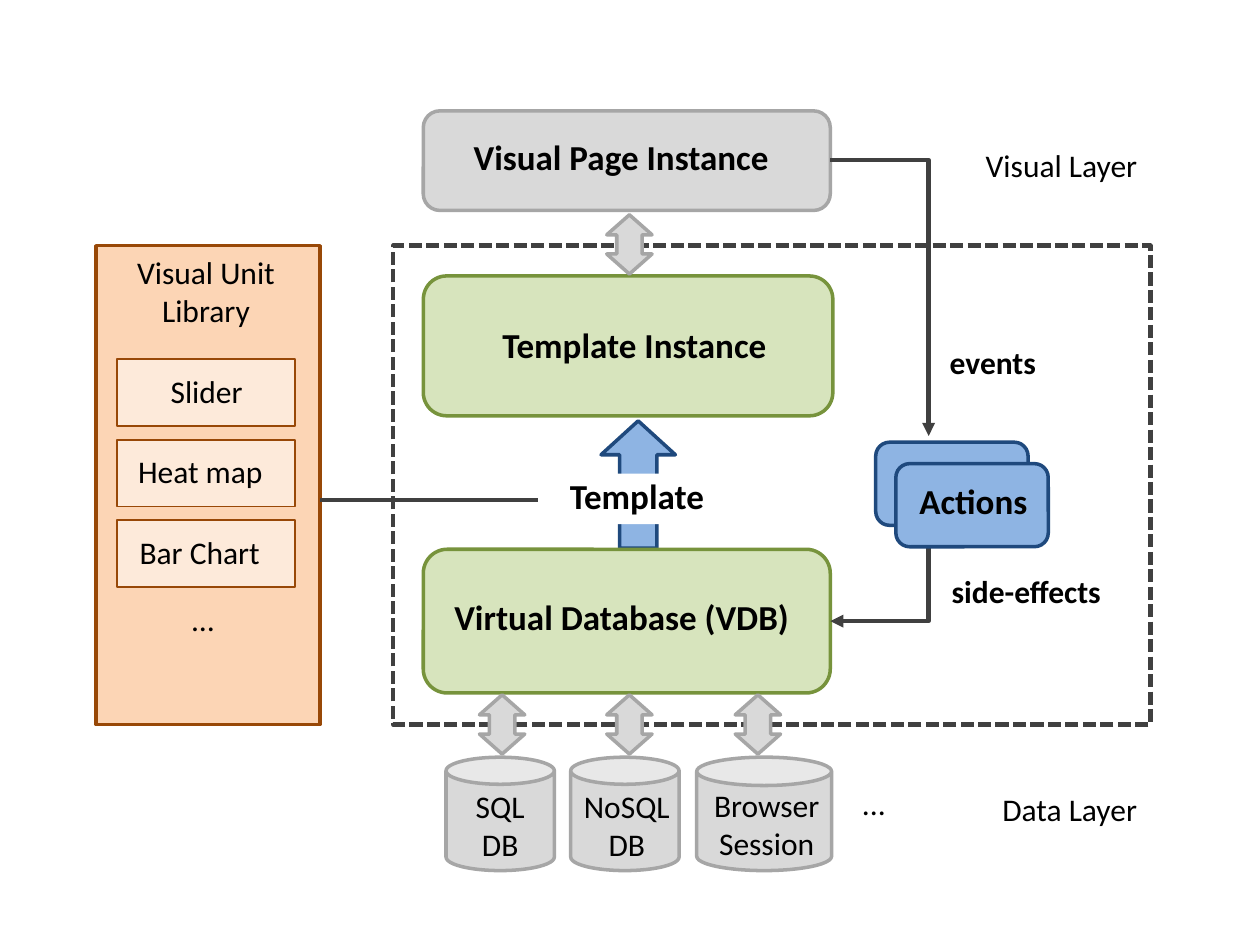
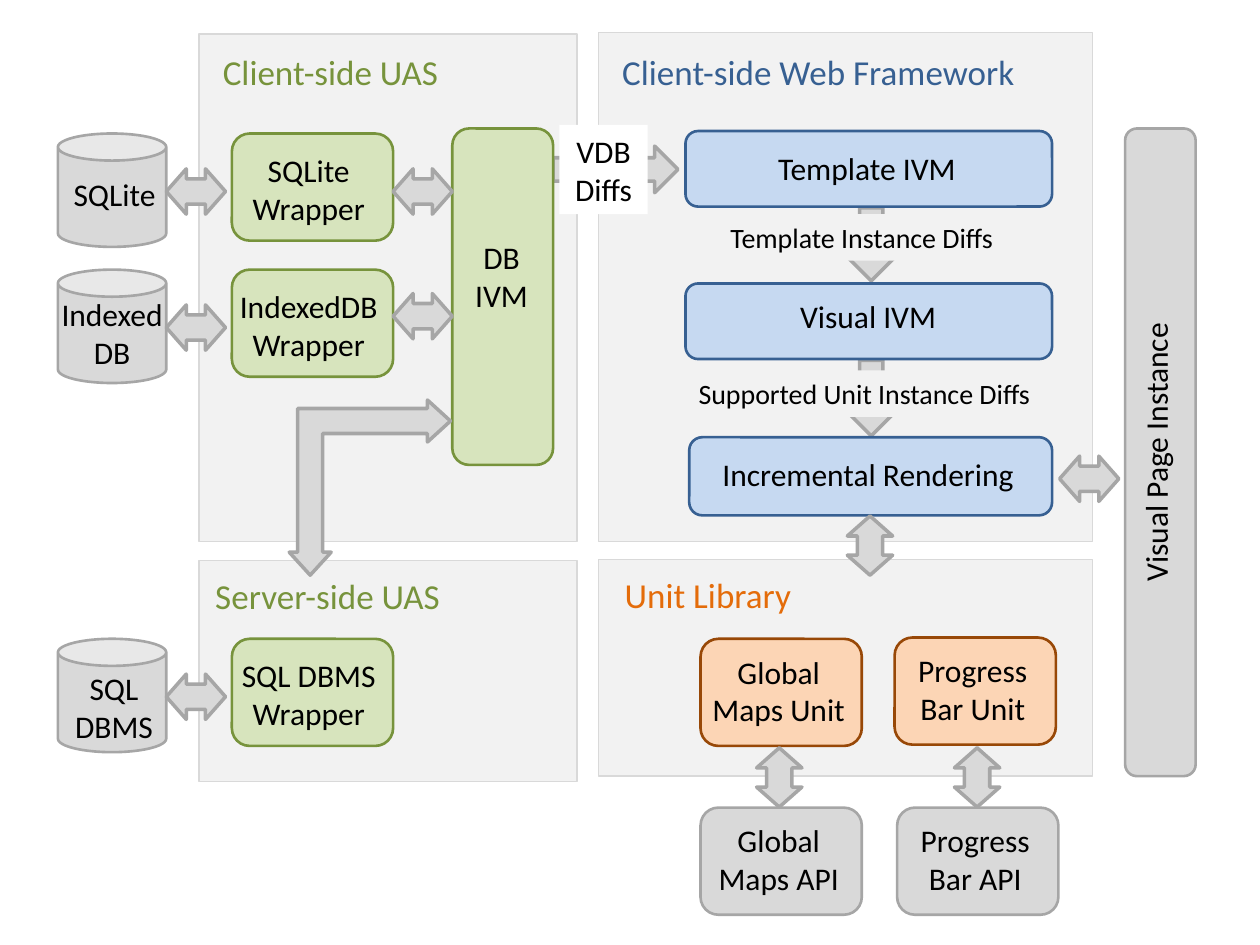
from lxml import etree
from pptx import Presentation
from pptx.dml.color import RGBColor
from pptx.enum.dml import MSO_LINE
from pptx.enum.shapes import MSO_CONNECTOR, MSO_SHAPE
from pptx.enum.text import MSO_ANCHOR, MSO_AUTO_SIZE, PP_ALIGN
from pptx.oxml.ns import qn
from pptx.util import Inches, Pt

RECTANGLE = MSO_SHAPE.RECTANGLE
ROUNDED = MSO_SHAPE.ROUNDED_RECTANGLE
CAN = MSO_SHAPE.CAN
UP_ARROW = MSO_SHAPE.UP_ARROW
DOWN_ARROW = MSO_SHAPE.DOWN_ARROW
RIGHT_ARROW = MSO_SHAPE.RIGHT_ARROW
CORNER_ARROW = MSO_SHAPE.LEFT_UP_ARROW
DOUBLE_ARROW = MSO_SHAPE.LEFT_RIGHT_ARROW
STRAIGHT = MSO_CONNECTOR.STRAIGHT
ELBOW = MSO_CONNECTOR.ELBOW
DASHED = MSO_LINE.SQUARE_DOT
LEFT = PP_ALIGN.LEFT
CENTER = PP_ALIGN.CENTER
MIDDLE = MSO_ANCHOR.MIDDLE
TOP = MSO_ANCHOR.TOP
FIT_SHAPE = MSO_AUTO_SIZE.SHAPE_TO_FIT_TEXT

BLACK = RGBColor(0x00, 0x00, 0x00)
WHITE = RGBColor(0xFF, 0xFF, 0xFF)
CHARCOAL = RGBColor(0x40, 0x40, 0x40)
GRAY = RGBColor(0xA6, 0xA6, 0xA6)
SILVER = RGBColor(0xD9, 0xD9, 0xD9)
MIST = RGBColor(0xF2, 0xF2, 0xF2)
OLIVE = RGBColor(0x77, 0x93, 0x3C)
LIME = RGBColor(0xD7, 0xE4, 0xBD)
BROWN = RGBColor(0x98, 0x48, 0x07)
PEACH = RGBColor(0xFC, 0xD5, 0xB5)
CREAM = RGBColor(0xFD, 0xEA, 0xDA)
ORANGE = RGBColor(0xE4, 0x6C, 0x0A)
NAVY = RGBColor(0x1F, 0x49, 0x7D)
SKY = RGBColor(0x8E, 0xB4, 0xE3)
BLUE = RGBColor(0x37, 0x60, 0x92)
ICE = RGBColor(0xC6, 0xD9, 0xF1)

NEUTRAL = (SILVER, GRAY)
DATA = (LIME, OLIVE)
LIBRARY = (PEACH, BROWN)
UNIT = (CREAM, BROWN)
ACTION = (SKY, NAVY)
FRAMEWORK = (ICE, BLUE)
PANEL = (MIST, SILVER)


def write(frame, text, size=18, bold=False, color=BLACK, align=CENTER, wrap=False, anchor=TOP):
    frame.word_wrap = wrap
    frame.vertical_anchor = anchor
    para = frame.paragraphs[0]
    para.alignment = align
    for number, line in enumerate(text.split("\n")):
        if number:
            para.add_line_break()
        span = para.add_run()
        span.text = line
        span.font.name = "Calibri"
        span.font.size = Pt(size)
        span.font.bold = bold
        span.font.color.rgb = color


class Diagram:
    def __init__(self, deck, outline):
        self.page = deck.slides.add_slide(deck.slide_layouts[6])
        self.outline = outline

    def shape(self, kind, place, colors, width=None, adjust=(), angle=0, dash=None):
        fill, line = colors
        box = self.page.shapes.add_shape(kind, *map(Inches, place))
        box.shadow.inherit = False
        box.rotation = angle
        for index, value in enumerate(adjust):
            box.adjustments[index] = value
        if fill is None:
            box.fill.background()
        else:
            box.fill.solid()
            box.fill.fore_color.rgb = fill
        if line is None:
            box.line.fill.background()
        else:
            box.line.color.rgb = line
            box.line.width = Pt(width or self.outline)
        if dash:
            box.line.dash_style = dash
        return box

    def label(self, place, text, angle=0, **style):
        box = self.page.shapes.add_textbox(*map(Inches, place))
        box.rotation = angle
        write(box.text_frame, text, **style)
        box.text_frame.auto_size = FIT_SHAPE

    def mask(self, place, text, color, **style):
        box = self.shape(RECTANGLE, place, (color, None))
        write(box.text_frame, text, wrap=True, anchor=MIDDLE, **style)

    def double_arrow(self, left, top, angle=0):
        self.shape(DOUBLE_ARROW, (left, top, 0.47, 0.36), NEUTRAL, 2, (0.56, 0.442), angle)

    def connector(self, kind, start, end, arrow=None):
        line = self.page.shapes.add_connector(kind, *map(Inches, start + end))
        line.line.color.rgb = CHARCOAL
        line.line.width = Pt(2.5)
        properties = line.element.spPr
        if kind == ELBOW:
            properties.find(qn("a:prstGeom")).set("prst", "bentConnector2")
        if arrow:
            etree.SubElement(properties.find(qn("a:ln")), qn(arrow), type="triangle")
        etree.SubElement(properties, qn("a:effectLst"))


def draw_layers(deck):
    diagram = Diagram(deck, 2)
    diagram.shape(UP_ARROW, (4.77, 3.34, 0.59, 1.01), ACTION, adjust=(0.5, 0.456))
    diagram.shape(RECTANGLE, (0.76, 1.95, 1.78, 3.8), LIBRARY)
    diagram.shape(ROUNDED, (3.36, 4.36, 3.23, 1.14), DATA)
    diagram.shape(ROUNDED, (3.36, 2.19, 3.25, 1.11), DATA)
    diagram.shape(ROUNDED, (3.36, 0.88, 3.23, 0.79), NEUTRAL)
    diagram.shape(RECTANGLE, (3.12, 1.95, 6.01, 3.8), (None, CHARCOAL), 2.5, dash=DASHED)
    diagram.shape(ROUNDED, (6.95, 3.51, 1.21, 0.66), ACTION)
    diagram.connector(ELBOW, (6.59, 1.27), (7.37, 3.46), "a:tailEnd")
    diagram.connector(ELBOW, (6.59, 4.93), (7.37, 4.31), "a:headEnd")

    stores = [
        (3.54, 0.86, (3.67, 6.2, 0.6, 0.71), "SQL\nDB"),
        (4.53, 0.86, (4.53, 6.2, 0.89, 0.71), "NoSQL\nDB"),
        (5.53, 1.07, (5.56, 6.19, 1.05, 0.71), "Browser\nSession"),
    ]
    for left, width, place, name in stores:
        diagram.shape(CAN, (left, 6.01, width, 0.9), NEUTRAL)
        diagram.label(place, name)

    units = [(1.25, 0.78, "Slider"), (0.99, 1.2, "Heat map"), (1, 1.17, "Bar Chart")]
    for row, (left, width, name) in enumerate(units):
        top = 2.85 + 0.64 * row
        diagram.shape(RECTANGLE, (0.93, top, 1.41, 0.53), UNIT, 1)
        diagram.label((left, top + 0.05, width, 0.4), name)

    for left, top in [(3.75, 5.57), (4.76, 5.57), (5.78, 5.57), (4.76, 1.76)]:
        diagram.double_arrow(left, top, 90)
    diagram.shape(ROUNDED, (3.36, 3.76, 3.28, 0.4), (WHITE, None))
    diagram.connector(STRAIGHT, (2.54, 3.97), (4.27, 3.97))
    diagram.shape(ROUNDED, (7.11, 3.68, 1.21, 0.66), ACTION)

    headings = [
        ((3.64, 1.03, 2.58, 0.44), "Visual Page Instance"),
        ((3.86, 2.52, 2.35, 0.44), "Template Instance"),
        ((4.4, 3.72, 1.31, 0.44), "Template"),
        ((3.5, 4.68, 2.87, 0.44), "Virtual Database (VDB)"),
        ((7.18, 3.76, 1.09, 0.44), "Actions"),
    ]
    for place, text in headings:
        diagram.label(place, text, size=20, bold=True)
    diagram.label((7.43, 2.67, 0.9, 0.4), "events", bold=True)
    diagram.label((7.44, 4.49, 1.41, 0.4), "side-effects", bold=True)

    captions = [
        ((0.98, 1.96, 1.31, 0.71), "Visual Unit\nLibrary"),
        ((1.42, 4.71, 0.38, 0.4), "…"),
        ((6.74, 6.17, 0.39, 0.4), "..."),
        ((7.71, 1.11, 1.43, 0.4), "Visual Layer"),
        ((7.84, 6.22, 1.3, 0.4), "Data Layer"),
    ]
    for place, text in captions:
        diagram.label(place, text)


def draw_architecture(deck):
    diagram = Diagram(deck, 1.5)
    panels = [
        ((4.75, 4.44, 3.92, 1.72), (4.86, 4.5, 1.69, 0.44), "Unit Library", ORANGE),
        ((4.75, 0.26, 3.92, 4.04), (4.84, 0.35, 3.37, 0.44), "Client-side Web Framework", BLUE),
        ((1.58, 0.27, 3, 4.03), (1.67, 0.35, 1.94, 0.44), "Client-side UAS", OLIVE),
        ((1.58, 4.45, 3, 1.75), (1.61, 4.51, 2.01, 0.44), "Server-side UAS", OLIVE),
    ]
    for area, place, title, color in panels:
        diagram.shape(RECTANGLE, area, PANEL, 0.75)
        diagram.label(place, title, size=20, color=color, align=LEFT)

    diagram.shape(RIGHT_ARROW, (4.39, 1.16, 0.99, 0.37), NEUTRAL, 2)
    diagram.shape(ROUNDED, (3.59, 1.02, 0.8, 2.67), DATA)
    diagram.label((3.62, 1.84, 0.72, 0.71), "DB IVM", wrap=True)
    diagram.mask((4.44, 0.99, 0.7, 0.71), "VDB\nDiffs", WHITE)

    sources = [
        (1.06, (0.48, 1.34, 0.86, 0.4), "SQLite", "SQLite Wrapper"),
        (2.14, (0.38, 2.29, 1.02, 0.71), "Indexed\nDB", "IndexedDB Wrapper"),
        (5.07, (0.49, 5.26, 0.83, 0.71), "SQL\nDBMS", "SQL DBMS Wrapper"),
    ]
    for top, place, store, wrapper in sources:
        diagram.shape(CAN, (0.46, top, 0.86, 0.9), NEUTRAL)
        diagram.label(place, store)
        diagram.double_arrow(1.32, top + 0.28)
        diagram.shape(ROUNDED, (1.84, top, 1.28, 0.85), DATA)
        diagram.label((1.79, top + 0.09, 1.32, 0.71), wrapper, wrap=True)
    for top in (1.34, 2.33):
        diagram.double_arrow(3.12, top)
    corner = diagram.shape(
        CORNER_ARROW, (2.24, 3.23, 1.39, 1.28), NEUTRAL, 2, (0.155, 0.13, 0.143), 270
    )
    corner.element.spPr.xfrm.set("flipV", "1")

    flows = [
        (1.65, 0.58, (5.61, 1.7, 2.46, 0.37), "Template Instance Diffs"),
        (2.86, 0.6, (5.25, 2.94, 3.22, 0.37), "Supported Unit Instance Diffs"),
    ]
    for top, height, place, text in flows:
        diagram.shape(DOWN_ARROW, (6.73, top, 0.37, height), NEUTRAL, 2)
        diagram.mask(place, text, MIST, size=16)

    stages = [
        ((5.44, 1.04, 2.91, 0.6), (5.39, 1.13, 2.98, 0.4), "Template IVM"),
        ((5.44, 2.25, 2.91, 0.6), (5.44, 2.31, 2.9, 0.4), "Visual IVM"),
        ((5.47, 3.47, 2.88, 0.62), (5.45, 3.56, 2.88, 0.4), "Incremental Rendering"),
    ]
    for area, place, text in stages:
        diagram.shape(ROUNDED, area, FRAMEWORK)
        diagram.label(place, text, wrap=True)

    endpoints = [
        (5.56, 5.07, LIBRARY, "Global Maps Unit"),
        (7.1, 5.06, LIBRARY, "Progress Bar Unit"),
        (5.56, 6.41, NEUTRAL, "Global Maps API"),
        (7.12, 6.41, NEUTRAL, "Progress Bar API"),
    ]
    for left, top, colors, text in endpoints:
        diagram.shape(ROUNDED, (left, top, 1.28, 0.85), colors)
        diagram.label((left - 0.04, top + 0.06, 1.32, 0.71), text, wrap=True)
    for left, top in [(5.95, 5.99), (7.52, 5.99), (6.67, 4.15)]:
        diagram.double_arrow(left, top, 270)

    diagram.shape(ROUNDED, (8.93, 1.02, 0.56, 5.14), NEUTRAL)
    diagram.label((6.58, 3.39, 5.18, 0.4), "Visual Page Instance", angle=270, wrap=True)
    diagram.double_arrow(8.41, 3.62)


def main():
    deck = Presentation()
    deck.slide_width = Inches(10)
    deck.slide_height = Inches(7.5)
    draw_layers(deck)
    draw_architecture(deck)
    deck.save("out.pptx")


if __name__ == "__main__":
    main()
